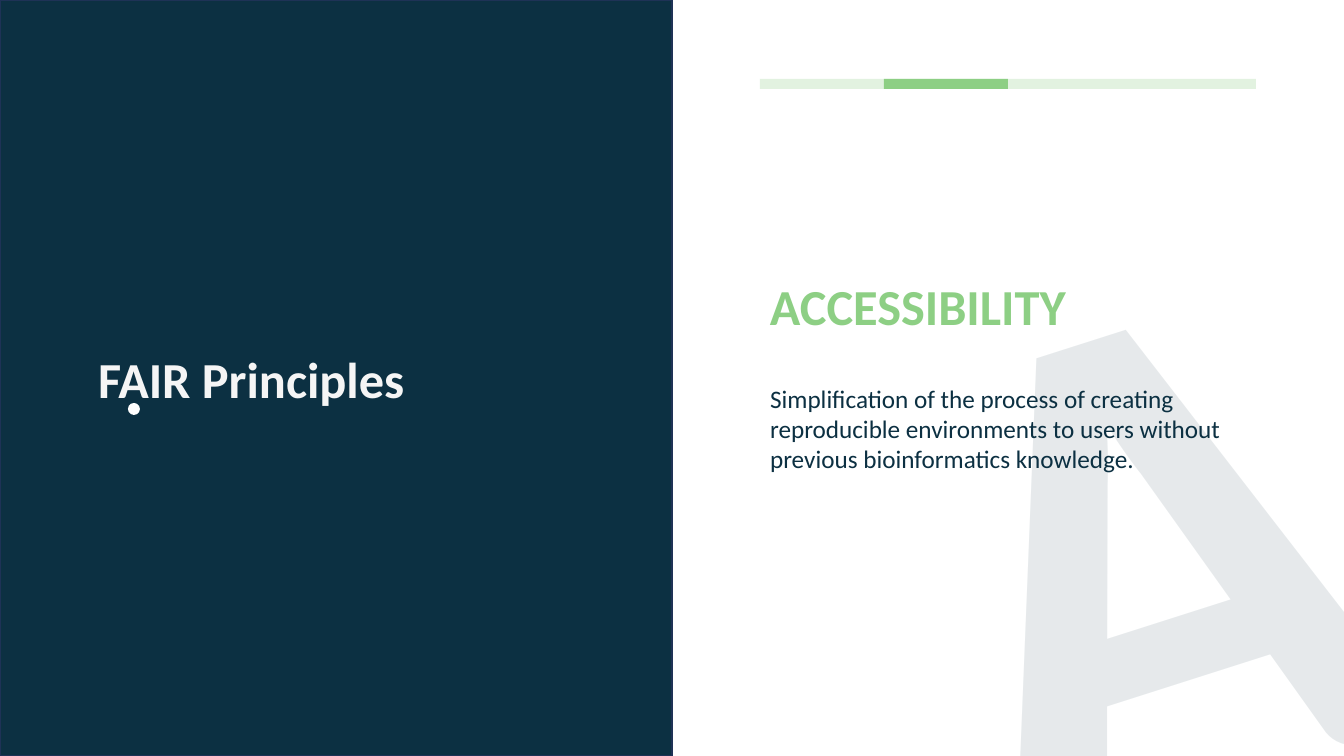
"""Build the FAIR Principles slide on accessibility."""
from lxml import etree
from pptx import Presentation
from pptx.dml.color import RGBColor
from pptx.enum.shapes import MSO_SHAPE
from pptx.enum.text import MSO_ANCHOR, MSO_AUTO_SIZE, PP_ALIGN
from pptx.oxml.ns import qn
from pptx.util import Pt

RECT, OVAL = MSO_SHAPE.RECTANGLE, MSO_SHAPE.OVAL
TOP, LEFT, GROW = MSO_ANCHOR.TOP, PP_ALIGN.LEFT, MSO_AUTO_SIZE.SHAPE_TO_FIT_TEXT
WIDE, HIGH = 1344, 756
PX = 12192000 / WIDE
EDGE, STEP = 760, 124
COLORS = {"navy": "0C3042", "edge": "1E3256", "green": "8DCF84",
          "pale": "F5F5F5", "white": "FFFFFF"}


def place(shape, *box):
    for name, size in zip(("left", "top", "width", "height"), box):
        setattr(shape, name, round(size * PX))


def paint(fill, color, alpha=100):
    fill.solid()
    fill.fore_color.rgb = RGBColor.from_string(COLORS[color])
    if alpha < 100:
        tone = fill._xPr.find(".//" + qn("a:srgbClr"))
        etree.SubElement(tone, qn("a:alpha"), val=str(alpha * 1000))


deck = Presentation()
deck.slide_width, deck.slide_height = round(WIDE * PX), round(HIGH * PX)
slide = deck.slides.add_slide(deck.slide_layouts[1])
shapes = slide.shapes
title, body = slide.placeholders
head = shapes.add_textbox(0, 0, 0, 0)
letter = shapes.add_textbox(0, 0, 0, 0)

forms = [
    (RECT, (0, 0, WIDE // 2, HIGH), "navy", 100),
    (RECT, (EDGE, 79, 4 * STEP, 10), "green", 25),
    (RECT, (EDGE + STEP, 79, STEP, 10), "green", 100),
    (OVAL, (128, 403, 12, 12), "white", 100),
]
drawn = []
for kind, box, color, alpha in forms:
    form = shapes.add_shape(kind, 0, 0, 0, 0)
    place(form, *box)
    form.shadow.inherit = False
    paint(form.fill, color, alpha)
    form.line.fill.background()
    drawn.append(form)

panel = drawn[0]
paint(panel.line.fill, "edge")
panel.line.width = Pt(1)
shapes._spTree.insert(2, panel._element)

texts = [
    (title, (88, 343, 331, 72), ["FAIR Principles"], 36, True, "pale", 100, False),
    (head, (EDGE, 270, 320, 72), ["ACCESSIBILITY"], 36, True, "green", 100, False),
    (body, (EDGE, 378, 4 * STEP, 102),
     ["Simplification of the process of creating",
      "reproducible environments to users without",
      "previous bioinformatics knowledge."], 18, False, "navy", 100, True),
    (letter, (914, 110, 250, 879), ["A"], 512, True, "navy", 10, True),
]
for shape, box, lines, size, bold, color, alpha, wrap in texts:
    place(shape, *box)
    frame = shape.text_frame
    frame.text = "\n".join(lines)
    look = {"word_wrap": wrap, "auto_size": GROW, "vertical_anchor": TOP}
    for name, value in look.items():
        setattr(frame, name, value)
    for para in frame.paragraphs:
        props = para._p.get_or_add_pPr()
        props.set("marL", "0")
        props.set("indent", "0")
        etree.SubElement(props, qn("a:buNone"))
        para.alignment = LEFT
        para.space_before = Pt(0)
        font = para.runs[0].font
        style = {"name": "Calibri", "size": Pt(size), "bold": bold}
        for name, value in style.items():
            setattr(font, name, value)
        paint(font.fill, color, alpha)

letter.rotation = 342.2

deck.save("out.pptx")
